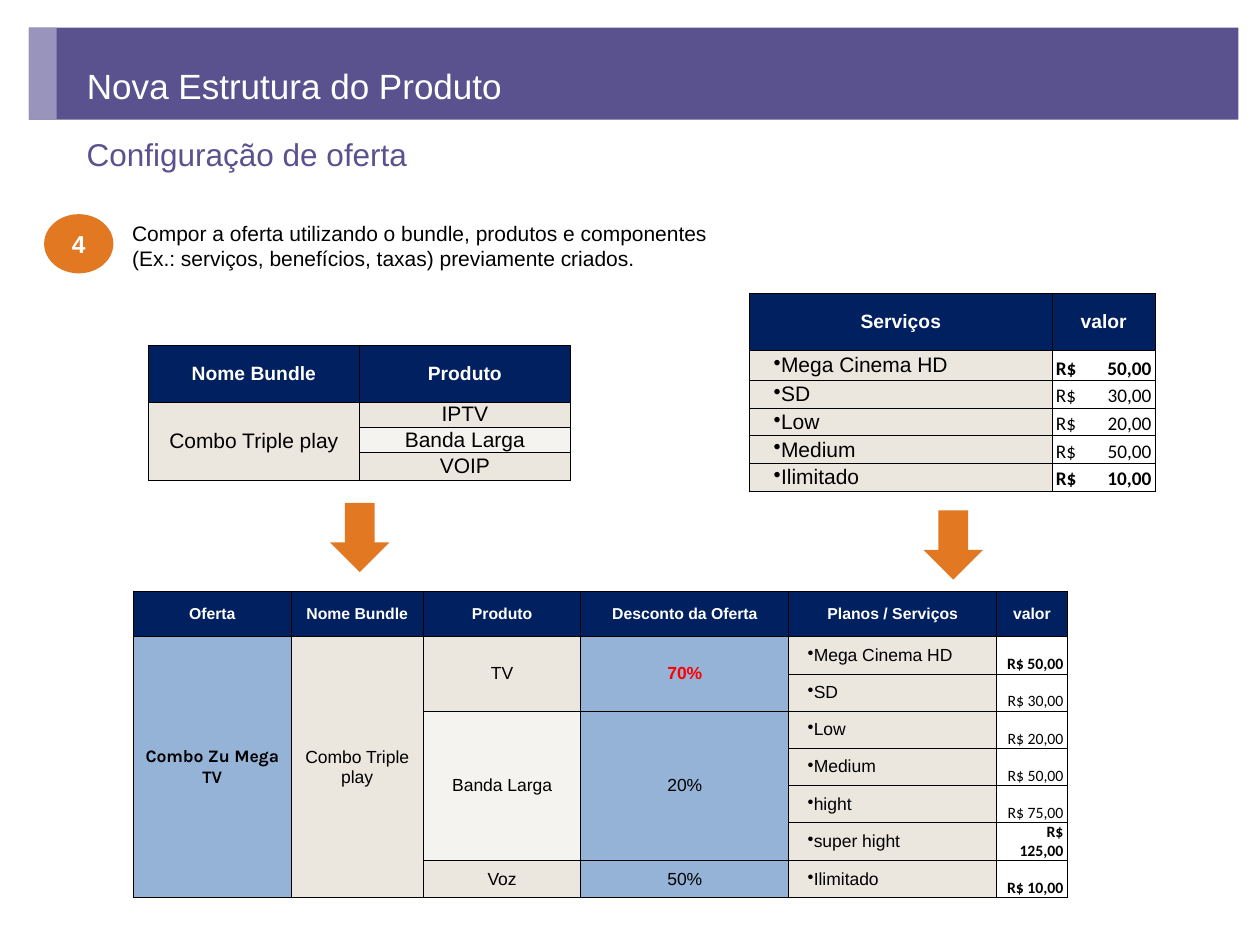
from lxml import etree
from pptx import Presentation
from pptx import util as u
from pptx.dml.color import RGBColor
from pptx.enum import shapes, text
from pptx.oxml import ns

ink = dict(band="5A528F", edge="9894BB", navy="002060", sand="EBE6DE", pale="F5F3EF",
           blue="95B3D7", gold="E37823", red="FF0000", black="000000", white="FFFFFF")
side = text.PP_ALIGN
deck = Presentation()
deck.slide_width, deck.slide_height = u.Inches(10), u.Inches(7.5)
unit = deck.slide_width / 100
page = deck.slides.add_slide(deck.slide_layouts[5])


def grid(*nums):
    return [round(n * unit) for n in nums]


def write(frame, words, size, color="black", bold=False, face="Arial", align=side.LEFT):
    para = frame.paragraphs[0]
    para.alignment = align
    run = para.add_run()
    run.text = words
    font = run.font
    font.size, font.bold, font.name = u.Pt(size), bold, face
    font.color.rgb = RGBColor.from_string(ink[color])
    return para


kinds = shapes.MSO_SHAPE
forms = [
    (kinds.RECTANGLE, (2.3, 2.2, 96, 7.3), "band", 0, ""),
    (kinds.RECTANGLE, (2.3, 2.2, 2.2, 7.3), "edge", 0, ""),
    (kinds.RIGHT_ARROW, (72.9, 40.9, 5.5, 4.7), "gold", 90, ""),
    (kinds.RIGHT_ARROW, (25.8, 40.3, 5.5, 4.7), "gold", 90, ""),
    (kinds.OVAL, (3.5, 17, 5.5, 4.7), "gold", 0, "4"),
]
for kind, box, color, turn, words in forms:
    form = page.shapes.add_shape(kind, *grid(*box))
    form.shadow.inherit = False
    form.fill.solid()
    form.fill.fore_color.rgb = RGBColor.from_string(ink[color])
    form.line.fill.background()
    form.rotation = turn
    if words:
        form.text_frame.vertical_anchor = text.MSO_ANCHOR.MIDDLE
        write(form.text_frame, words, 14, "white", True, align=side.CENTER)

title = page.shapes.title
title.left, title.top, title.width, title.height = grid(5.9, 3.3, 82.5, 7)
title.text_frame.auto_size = text.MSO_AUTO_SIZE.NONE
title.text_frame.vertical_anchor = text.MSO_ANCHOR.MIDDLE
write(title.text_frame, "Nova Estrutura do Produto", 20, "white")
title.element.getparent().append(title.element)

notes = [
    ((5.9, 10.2, 82.4, 3.8), "Configuração de oferta", 18, "band"),
    ((9.5, 17, 50.8, 5), "Compor a oferta utilizando o bundle, produtos e componentes "
     "(Ex.: serviços, benefícios, taxas) previamente criados.", 12, "black"),
]
for box, words, size, color in notes:
    note = page.shapes.add_textbox(*grid(*box))
    note.text_frame.word_wrap = True
    write(note.text_frame, words, size, color)

combo = "Combo Triple play"
plans = ["Mega Cinema HD", "SD", "Low", "Medium", "hight", "super hight", "Ilimitado"]
costs = ["50,00", "30,00", "20,00", "50,00", "75,00", "125,00", "10,00"]
strong = {"50,00": [0], "125,00": [5], "10,00": [4, 6]}
short = [0, 1, 2, 3, 6]
tables = [
    dict(at=(10.6, 46.9), rows=[3.64] + [2.95] * 7, head=9, body=10, cost=9, pad=1.5, gap=" ", cols=[
        (12.5, "Oferta", "mid", [("Combo Zu Mega TV", 7, "blue", "black", True, "Karla")]),
        (10.5, "Nome Bundle", "mid", [(combo, 7, "sand")]),
        (12.5, "Produto", "mid", [("TV", 2, "sand"), ("Banda Larga", 4, "pale"), ("Voz", 1, "sand")]),
        (16.5, "Desconto da Oferta", "mid",
         [("70%", 2, "blue", "red", True), ("20%", 4, "blue"), ("50%", 1, "blue")]),
        (16.5, "Planos / Serviços", "item", [(p, 1, "sand") for p in plans]),
        (5.6, "valor", "cost", [(c, 1, None) for c in costs])]),
    dict(at=(11.8, 27.4), rows=[4.5, 1.9, 1.9, 2.2], head=11, body=12, cost=11, pad=0, gap="", cols=[
        (16.7, "Nome Bundle", "mid", [(combo, 3, "sand")]),
        (16.8, "Produto", "mid", [("IPTV", 1, "sand"), ("Banda Larga", 1, "pale"), ("VOIP", 1, "sand")])]),
    dict(at=(59.5, 23.3), rows=[4.5, 2.4] + [2.2] * 4, head=11, body=12, cost=11, pad=1.9, gap="\t", cols=[
        (24, "Serviços", "item", [(plans[n], 1, "sand") for n in short]),
        (8.2, "valor", "cost", [(costs[n], 1, None) for n in short])]),
]

for plan in tables:
    cols, rows = plan["cols"], plan["rows"]
    size = grid(*plan["at"], sum(c[0] for c in cols), sum(rows))
    table = page.shapes.add_table(len(rows), len(cols), *size).table
    table.horz_banding = table.first_row = False
    for row, high in zip(table.rows, grid(*rows)):
        row.height = high
    for cell in table.iter_cells():
        cell.margin_left = cell.margin_right = cell.margin_top = cell.margin_bottom = 0
        props = cell._tc.get_or_add_tcPr()
        for edge in "LRTB":
            line = etree.SubElement(props, ns.qn("a:ln" + edge), w=str(u.Pt(0.5)))
            paint = etree.SubElement(line, ns.qn("a:solidFill"))
            etree.SubElement(paint, ns.qn("a:srgbClr"), val=ink["black"])
    for spot, (wide, name, kind, parts) in enumerate(cols):
        table.columns[spot].width = grid(wide)[0]
        row = 0
        for words, span, fill, *look in [(name, 1, "navy", "white", True)] + parts:
            cell = table.cell(row, spot)
            if span > 1:
                cell.merge(table.cell(row + span - 1, spot))
            cell.vertical_anchor = text.MSO_ANCHOR.MIDDLE
            if fill:
                cell.fill.solid()
                cell.fill.fore_color.rgb = RGBColor.from_string(ink[fill])
            else:
                cell.fill.background()
            if row == 0 or kind == "mid":
                write(cell.text_frame, words, plan["body" if row else "head"], *look).alignment = side.CENTER
            elif kind == "item":
                cell.margin_left = grid(plan["pad"])[0]
                props = write(cell.text_frame, words, plan["body"])._p.get_or_add_pPr()
                props.set("marL", "0")
                props.set("indent", "0")
                etree.SubElement(props, ns.qn("a:buChar"), char="•")
            else:
                cell.vertical_anchor = text.MSO_ANCHOR.BOTTOM
                cell.margin_left = cell.margin_right = grid(0.3)[0]
                bold = row - 1 in strong.get(words, []) and (words != "50,00" or row == 1)
                para = write(cell.text_frame, "R$" + plan["gap"] + words, plan["cost"], "black", bold, "Calibri")
                if plan["gap"] == "\t":
                    stops = etree.SubElement(para._p.get_or_add_pPr(), ns.qn("a:tabLst"))
                    etree.SubElement(stops, ns.qn("a:tab"), pos=str(grid(7.6)[0]), algn="r")
                else:
                    para.alignment = side.RIGHT
            row += span

deck.save("out.pptx")
